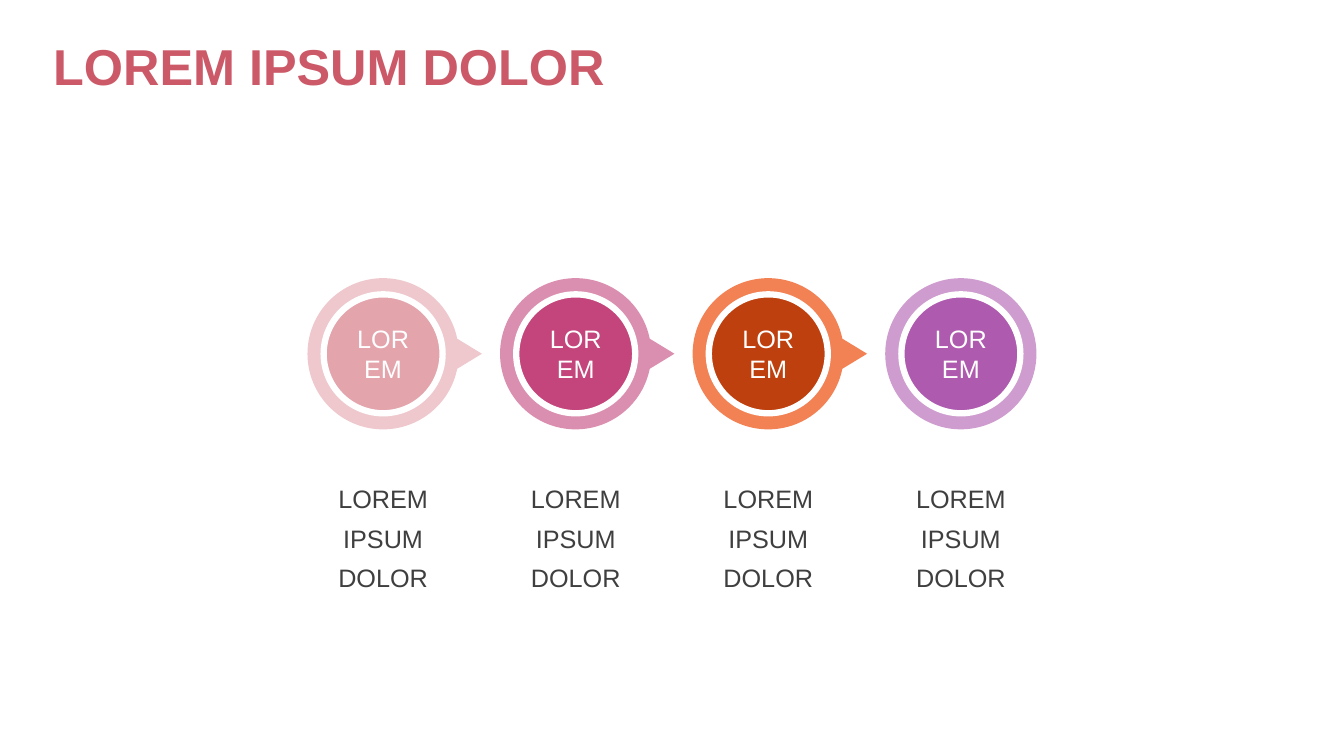
from math import cos, radians, sin, tan

from pptx import Presentation
from pptx.dml.color import RGBColor
from pptx.enum.shapes import MSO_SHAPE as Shape
from pptx.enum.text import MSO_ANCHOR as Anchor, PP_ALIGN as Align
from pptx.oxml import parse_xml
from pptx.oxml.ns import nsdecls, qn
from pptx.util import Inches, Pt

FONT = "Arial"
WHITE, TITLE_COLOR, LABEL_COLOR = "FFFFFF", "CC5968", "3F3F3F"
FIRST_X, PITCH, CENTER_Y = 3.8, 1.91, 3.51
RING_RADIUS, DISC_SIZE, TIP_REACH = 0.75, 1.18, 0.98
ARC_ANGLES = [11.5, 90, 180, 270, 348.5]
LABEL_TOP, LABEL_WIDTH, LABEL_HEIGHT = 4.66, 1.65, 1.71
STEPS = [
    ("EEC8CD", "E3A4AC"),
    ("DB8FB0", "C3457B"),
    ("F28154", "BE400E"),
    ("CE9CCE", "AE5AAE"),
]


def color(value):
    """Turn a hex string into a colour."""
    return RGBColor.from_string(value)


def write(shape, text, size, tint, align=Align.CENTER, anchor=Anchor.TOP, spacing=1.0, bold=False):
    """Put one formatted paragraph into a shape."""
    frame = shape.text_frame
    frame.word_wrap = True
    frame.vertical_anchor = anchor
    para = frame.paragraphs[0]
    para.text = text
    para.alignment = align
    para.line_spacing = spacing
    span = para.runs[0]
    span.font.name = FONT
    span.font.size = Pt(size)
    span.font.bold = bold
    span.font.color.rgb = color(tint)


def add_text(page, left, top, width, height, text, size, tint, **style):
    """Add a text box."""
    box = page.shapes.add_textbox(Inches(left), Inches(top), Inches(width), Inches(height))
    write(box, text, size, tint, **style)


def paint(shape, fill):
    """Give a shape a flat fill without line or shadow."""
    shape.shadow.inherit = False
    shape.fill.solid()
    shape.fill.fore_color.rgb = color(fill)
    shape.line.fill.background()


def add_circle(page, center_x, size, fill):
    """Add a circle centred on the row of steps."""
    circle = page.shapes.add_shape(
        Shape.OVAL, Inches(center_x - size / 2), Inches(CENTER_Y - size / 2), Inches(size), Inches(size)
    )
    paint(circle, fill)
    return circle


def ring_point(center_x, angle, pull=0.0):
    """Return a point on the ring, moved along the tangent by a share of the radius."""
    turn = radians(angle)
    return (
        Inches(center_x + RING_RADIUS * (cos(turn) - pull * sin(turn))),
        Inches(CENTER_Y + RING_RADIUS * (sin(turn) + pull * cos(turn))),
    )


def bend(shape):
    """Join the segments after the first one, three at a time, into curves."""
    segments = list(shape.element.iter(qn("a:lnTo")))[1:]
    for first in range(0, len(segments), 3):
        curve = parse_xml(f"<a:cubicBezTo {nsdecls('a')}/>")
        segments[first].addprevious(curve)
        for segment in segments[first:first + 3]:
            curve.append(segment[0])
            segment.getparent().remove(segment)


def add_pointed_ring(page, center_x, fill):
    """Add a circle whose right side ends in a pointer."""
    points = [ring_point(center_x, ARC_ANGLES[0])]
    for start, end in zip(ARC_ANGLES, ARC_ANGLES[1:]):
        pull = 4 / 3 * tan(radians(end - start) / 4)
        points += [
            ring_point(center_x, start, pull),
            ring_point(center_x, end, -pull),
            ring_point(center_x, end),
        ]
    builder = page.shapes.build_freeform(Inches(center_x + TIP_REACH), Inches(CENTER_Y))
    builder.add_line_segments(points, close=True)
    ring = builder.convert_to_shape()
    bend(ring)
    paint(ring, fill)


def add_disc(page, center_x, fill, text):
    """Add the white-rimmed disc with its caption."""
    disc = add_circle(page, center_x, DISC_SIZE, fill)
    disc.line.color.rgb = color(WHITE)
    disc.line.width = Pt(4.5)
    write(disc, text, 18, WHITE, anchor=Anchor.MIDDLE)


def main():
    """Build the slide and save it."""
    deck = Presentation()
    deck.slide_width, deck.slide_height = Inches(13.33), Inches(7.5)
    page = deck.slides.add_slide(deck.slide_layouts[6])
    for index, (ring_fill, disc_fill) in enumerate(STEPS):
        center_x = FIRST_X + index * PITCH
        if index < len(STEPS) - 1:
            add_pointed_ring(page, center_x, ring_fill)
        else:
            add_circle(page, center_x, 2 * RING_RADIUS, ring_fill)
        add_disc(page, center_x, disc_fill, "LOREM")
    for index in range(len(STEPS)):
        left = FIRST_X + index * PITCH - LABEL_WIDTH / 2
        add_text(page, left, LABEL_TOP, LABEL_WIDTH, LABEL_HEIGHT,
                 "LOREM IPSUM DOLOR", 18, LABEL_COLOR, spacing=1.3)
    add_text(page, 0.43, 0.28, 8.44, 0.73, "LOREM IPSUM DOLOR", 36, TITLE_COLOR,
             align=Align.LEFT, anchor=Anchor.BOTTOM, spacing=0.9, bold=True)
    deck.save("out.pptx")


if __name__ == "__main__":
    main()
